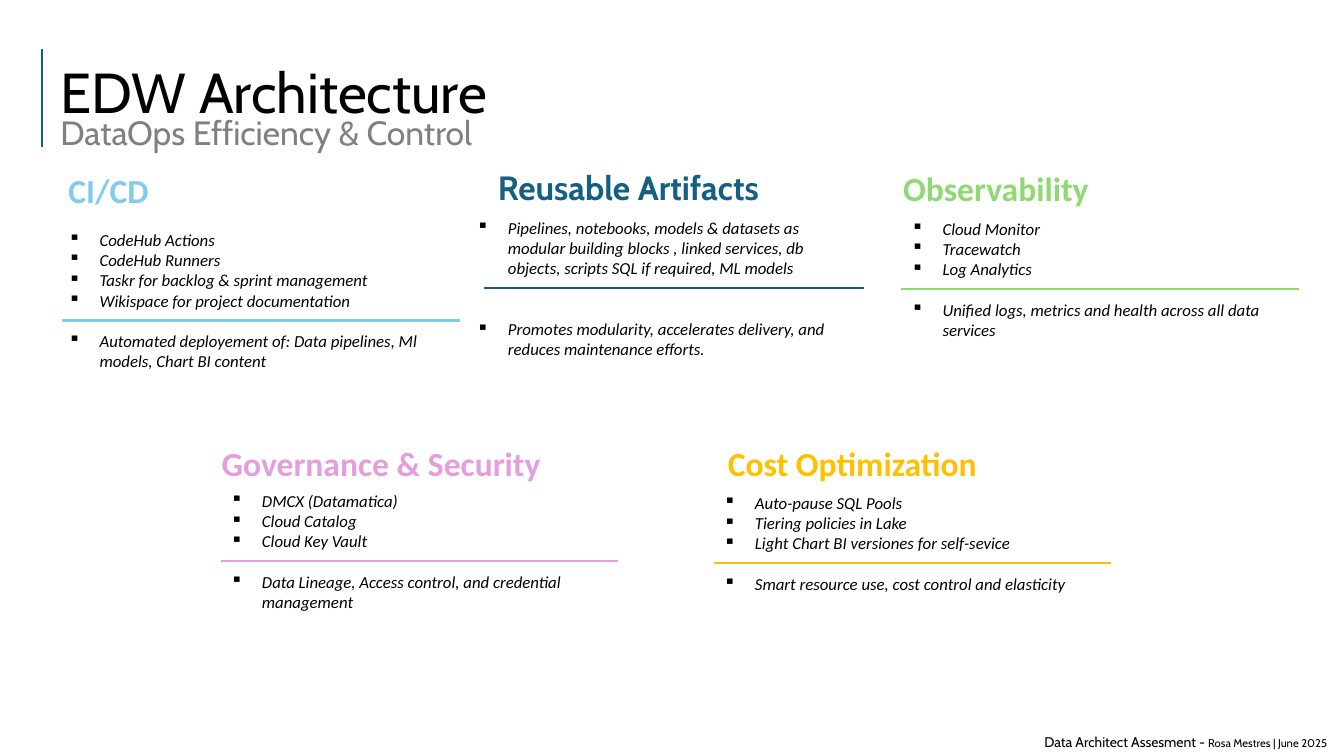
from dataclasses import dataclass

from lxml import etree
from pptx import Presentation
from pptx.dml.color import RGBColor
from pptx.enum import shapes, text
from pptx.oxml import ns
from pptx.util import Inches, Pt

BLACK = RGBColor(0, 0, 0)
WHITE = RGBColor(255, 255, 255)
GRAY = RGBColor(0x80, 0x80, 0x80)
NAVY = RGBColor(0x15, 0x60, 0x82)
SKY = RGBColor(0x83, 0xCB, 0xEB)
GREEN = RGBColor(0x8E, 0xD9, 0x73)
PINK = RGBColor(0xE5, 0x9E, 0xDD)
GOLD = RGBColor(0xFF, 0xC0, 0x00)

CARD_WIDTH = 3.94
LINE_HEIGHT = 0.2
BULLET_INDENT = Inches(0.31)


@dataclass
class Topic:
    """Box of a topic's bullets; heading and rule are offsets from it."""
    heading: str
    color: RGBColor
    left: float
    top: float
    height: float
    tools: list
    benefit: str
    heading_offset: tuple
    tool_lines: int = 3
    gap_lines: int = 1
    rule_inset: float = 0
    rule_width: float = CARD_WIDTH
    heading_width: float = 4.02
    heading_font: str = "Calibri"


TOPICS = [
    Topic("CI/CD", SKY, 0.58, 2.23, 1.72,
          ["CodeHub Actions", "CodeHub Runners",
           "Taskr for backlog & sprint management",
           "Wikispace for project documentation"],
          "Automated deployement of: Data pipelines, Ml models, Chart BI content",
          (0, -0.59), tool_lines=4, rule_inset=0.04),
    Topic("Reusable Artifacts", NAVY, 4.63, 2.11, 1.51,
          ["Pipelines, notebooks, models & datasets as modular building blocks , "
           "linked services, db objects, scripts SQL if required, ML models"],
          "Promotes modularity, accelerates delivery, and reduces maintenance efforts.",
          (0.21, -0.5), gap_lines=2, rule_inset=0.17, rule_width=3.77,
          heading_width=3.16, heading_font="Cabin"),
    Topic("Observability", GREEN, 8.94, 2.12, 1.51,
          ["Cloud Monitor", "Tracewatch", "Log Analytics"],
          "Unified logs, metrics and health across all data services",
          (-0.08, -0.5)),
    Topic("Governance & Security", PINK, 2.19, 4.82, 1.51,
          ["DMCX (Datamatica)", "Cloud Catalog", "Cloud Key Vault"],
          "Data Lineage, Access control, and credential management",
          (-0.09, -0.48)),
    Topic("Cost Optimization", GOLD, 7.08, 4.84, 1.31,
          ["Auto-pause SQL Pools", "Tiering policies in Lake",
           "Light Chart BI versiones for self-sevice"],
          "Smart resource use, cost control and elasticity",
          (0.04, -0.5)),
]


def add_span(para, words, size, font, color, bold=False, italic=False):
    span = para.add_run()
    span.text = words
    span.font.size = Pt(size)
    span.font.name = font
    span.font.color.rgb = color
    span.font.bold = bold
    span.font.italic = italic


def add_text_box(page, left, top, width, height):
    box = page.shapes.add_textbox(*map(Inches, (left, top, width, height)))
    box.text_frame.word_wrap = True
    return box.text_frame


def add_rule(page, start, end, color):
    rule = page.shapes.add_connector(
        shapes.MSO_CONNECTOR.STRAIGHT, *map(Inches, start + end))
    rule.line.color.rgb = color
    rule.line.width = Pt(1.5)
    etree.SubElement(rule._element.spPr, ns.qn("a:effectLst"))


def add_bullet(para):
    props = para._p.get_or_add_pPr()
    props.set("marL", str(BULLET_INDENT))
    props.set("indent", str(-BULLET_INDENT))
    etree.SubElement(props, ns.qn("a:buChar")).set("char", "▪")


def add_title(page, left, top, width, height):
    add_rule(page, (left - 0.08, 0.49), (left - 0.08, 1.46), NAVY)
    frame = add_text_box(page, left, top, width, height)
    frame.vertical_anchor = text.MSO_ANCHOR.MIDDLE
    para = frame.paragraphs[0]
    para.line_spacing = 0.7
    add_span(para, "EDW Architecture", 40.2, "Cabin", BLACK)
    para.add_line_break()
    add_span(para, "DataOps Efficiency & Control", 24, "Cabin", GRAY)


def add_topic(page, topic):
    # Heading
    across, down = topic.heading_offset
    frame = add_text_box(page, topic.left + across, topic.top + down,
                         topic.heading_width, 0.5)
    add_span(frame.paragraphs[0], topic.heading, 24, topic.heading_font,
             topic.color, bold=True)

    # Bullets, with the benefit set apart below the rule
    card = page.shapes.add_shape(
        shapes.MSO_SHAPE.RECTANGLE,
        *map(Inches, (topic.left, topic.top, CARD_WIDTH, topic.height)))
    card.shadow.inherit = False
    card.fill.solid()
    card.fill.fore_color.rgb = WHITE
    card.line.fill.background()
    frame = card.text_frame
    frame.word_wrap = True
    frame.vertical_anchor = text.MSO_ANCHOR.TOP
    for index, words in enumerate(topic.tools + [topic.benefit]):
        para = frame.add_paragraph() if index else frame.paragraphs[0]
        para.alignment = text.PP_ALIGN.LEFT
        if index == len(topic.tools):
            para.space_before = Pt(14.6 * topic.gap_lines)
        add_bullet(para)
        add_span(para, words, 12, "Calibri", BLACK, italic=True)

    # Rule
    start = topic.left + topic.rule_inset
    level = topic.top + 0.15 + LINE_HEIGHT * topic.tool_lines
    add_rule(page, (start, level), (start + topic.rule_width, level), topic.color)


def add_footer(page, left, top, width, height):
    para = add_text_box(page, left, top, width, height).paragraphs[0]
    add_span(para, "Data Architect Assesment - ", 10, "Cabin", BLACK)
    add_span(para, "Rosa Mestres | June 2025", 8, "Cabin", BLACK)


def main():
    deck = Presentation()
    deck.slide_width, deck.slide_height = Inches(13.33), Inches(7.5)
    page = deck.slides.add_slide(deck.slide_layouts[6])
    add_footer(page, 10.26, 7.23, 3.34, 0.27)
    add_title(page, 0.5, 0.64, 12.48, 0.97)
    for topic in TOPICS:
        add_topic(page, topic)
    deck.save("out.pptx")


if __name__ == "__main__":
    main()
